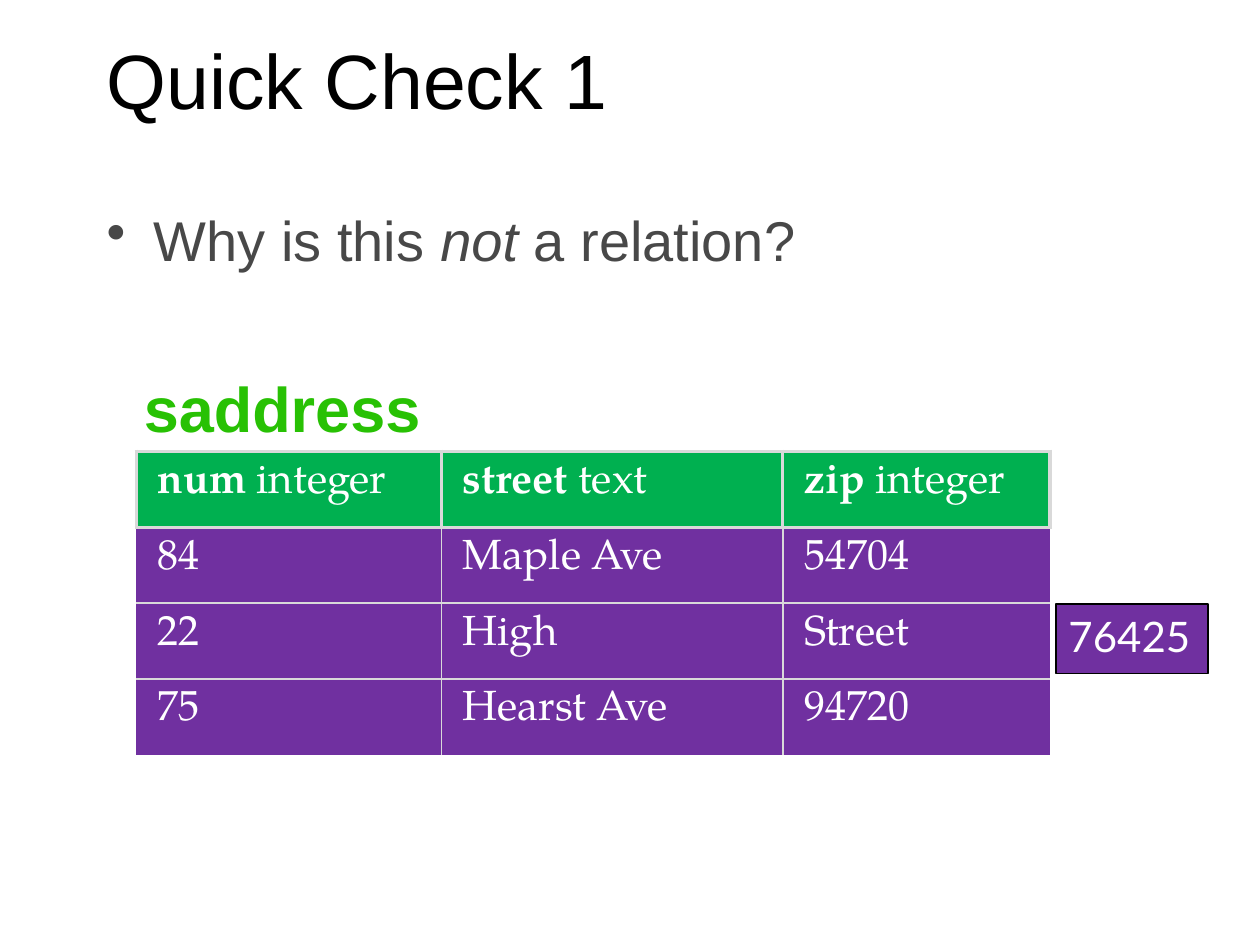
import pptx
import pptx.dml.color
import pptx.enum.shapes
import pptx.enum.text
import pptx.oxml
import pptx.oxml.ns
import pptx.util
from dataclasses import dataclass

Cm = pptx.util.Cm
Pt = pptx.util.Pt


@dataclass(frozen=True)
class Theme:
    sans: str = "Arial"
    serif: str = "TeX Gyre Pagella"
    rounded: str = "Lato"
    black: str = "000000"
    white: str = "FFFFFF"
    gray: str = "484848"
    caption: str = "28C104"
    header: str = "00B050"
    row: str = "7030A0"
    rule: str = "D9D9D9"
    title_size: int = 44
    caption_size: int = 36
    question_size: int = 32
    cell_size: int = 24
    thick: float = 2.25
    thin: float = 1


THEME = Theme()
COLUMNS = [("num", "integer"), ("street", "text"), ("zip", "integer")]
COLUMN_WIDTHS = [6.15, 6.88, 5.39]
ADDRESSES = [
    ("84", "Maple Ave", "54704"),
    ("22", "High", "Street"),
    ("75", "Hearst Ave", "94720"),
]


def rgb(color):
    return pptx.dml.color.RGBColor.from_string(color)


def paint(shape, color):
    shape.fill.solid()
    shape.fill.fore_color.rgb = rgb(color)


def write(paragraph, parts, font, size, color):
    for text, bold, italic in parts:
        run = paragraph.add_run()
        run.text = text
        run.font.name, run.font.size = font, Pt(size)
        run.font.bold, run.font.italic = bold, italic
        run.font.color.rgb = rgb(color)


def add_text(slide, box, parts, size, color, wrap=True):
    frame = slide.shapes.add_textbox(*map(Cm, box)).text_frame
    frame.word_wrap = wrap
    write(frame.paragraphs[0], parts, THEME.sans, size, color)
    return frame


def add_title(slide, box):
    frame = add_text(slide, box, [("Quick Check 1", False, False)],
                     THEME.title_size, THEME.black)
    frame.vertical_anchor = pptx.enum.text.MSO_ANCHOR.MIDDLE


def add_question(slide, box):
    parts = [("Why is this ", False, False), ("not", False, True),
             (" a relation?", False, False)]
    frame = add_text(slide, box, parts, THEME.question_size, THEME.gray)
    paragraph = frame.paragraphs[0]
    paragraph.space_before = Pt(0.2 * THEME.question_size)
    properties = paragraph._p.get_or_add_pPr()
    properties.set("marL", str(Cm(0.95)))
    properties.set("indent", str(-Cm(0.95)))
    properties.append(pptx.oxml.parse_xml(
        f'<a:buChar {pptx.oxml.ns.nsdecls("a")} char="•"/>'))


def set_borders(cell, widths):
    properties = cell._tc.get_or_add_tcPr()
    for index, (side, width) in enumerate(widths.items()):
        stroke = (f'<a:solidFill><a:srgbClr val="{THEME.rule}"/></a:solidFill>'
                  if width else "<a:noFill/>")
        properties.insert(index, pptx.oxml.parse_xml(
            f'<a:{side} {pptx.oxml.ns.nsdecls("a")} w="{Pt(width)}">{stroke}</a:{side}>'))


def add_relation(slide, box):
    left, top, width, height = box
    row_count, column_count = len(ADDRESSES) + 1, len(COLUMNS)
    table = slide.shapes.add_table(row_count, column_count, *map(Cm, box)).table
    for column, column_width in zip(table.columns, COLUMN_WIDTHS):
        column.width = Cm(column_width)
    for row in table.rows:
        row.height = Cm(height / row_count)

    header = [[(f"{name} ", True, False), (kind, False, False)]
              for name, kind in COLUMNS]
    body = [[[(value, False, False)] for value in address] for address in ADDRESSES]
    for r, row in enumerate([header] + body):
        for c, parts in enumerate(row):
            cell = table.cell(r, c)
            cell.margin_left = cell.margin_right = Cm(0.43)
            cell.margin_top = cell.margin_bottom = Cm(0.23)
            paint(cell, THEME.row if r else THEME.header)
            write(cell.text_frame.paragraphs[0], parts,
                  THEME.serif, THEME.cell_size, THEME.white)
            if r == 0:
                borders = dict.fromkeys(("lnL", "lnR", "lnT", "lnB"), THEME.thick)
            else:
                borders = {
                    "lnL": THEME.thin if c else 0,
                    "lnR": THEME.thin if c < column_count - 1 else 0,
                    "lnT": THEME.thin if r > 1 else THEME.thick,
                    "lnB": THEME.thin if r < row_count - 1 else 0,
                }
            set_borders(cell, borders)

    add_text(slide, (left - 0.1, top - 1.78, 6.1, 1.8), [("saddress", True, False)],
             THEME.caption_size, THEME.caption, wrap=False)
    add_extra_value(slide, (left + width + 0.12, top + height / 2 + 0.02, 3.07, 1.4))


def add_extra_value(slide, box):
    extra = slide.shapes.add_shape(
        pptx.enum.shapes.MSO_SHAPE.RECTANGLE, *map(Cm, box))
    extra.shadow.inherit = False
    paint(extra, THEME.row)
    extra.line.color.rgb = rgb(THEME.black)
    extra.line.width = Pt(THEME.thin)
    extra.text_frame.vertical_anchor = pptx.enum.text.MSO_ANCHOR.TOP
    paragraph = extra.text_frame.paragraphs[0]
    paragraph.alignment = pptx.enum.text.PP_ALIGN.LEFT
    write(paragraph, [("76425", False, False)],
          THEME.rounded, THEME.cell_size, THEME.white)


def main():
    deck = pptx.Presentation()
    deck.slide_width, deck.slide_height = Cm(25.4), Cm(19.05)
    slide = deck.slides.add_slide(deck.slide_layouts[6])
    add_title(slide, (1.9, 0, 21.6, 3.18))
    add_question(slide, (1.9, 4.01, 21.6, 14.17))
    add_relation(slide, (2.75, 9.1, sum(COLUMN_WIDTHS), 6.12))
    deck.save("out.pptx")


if __name__ == "__main__":
    main()
